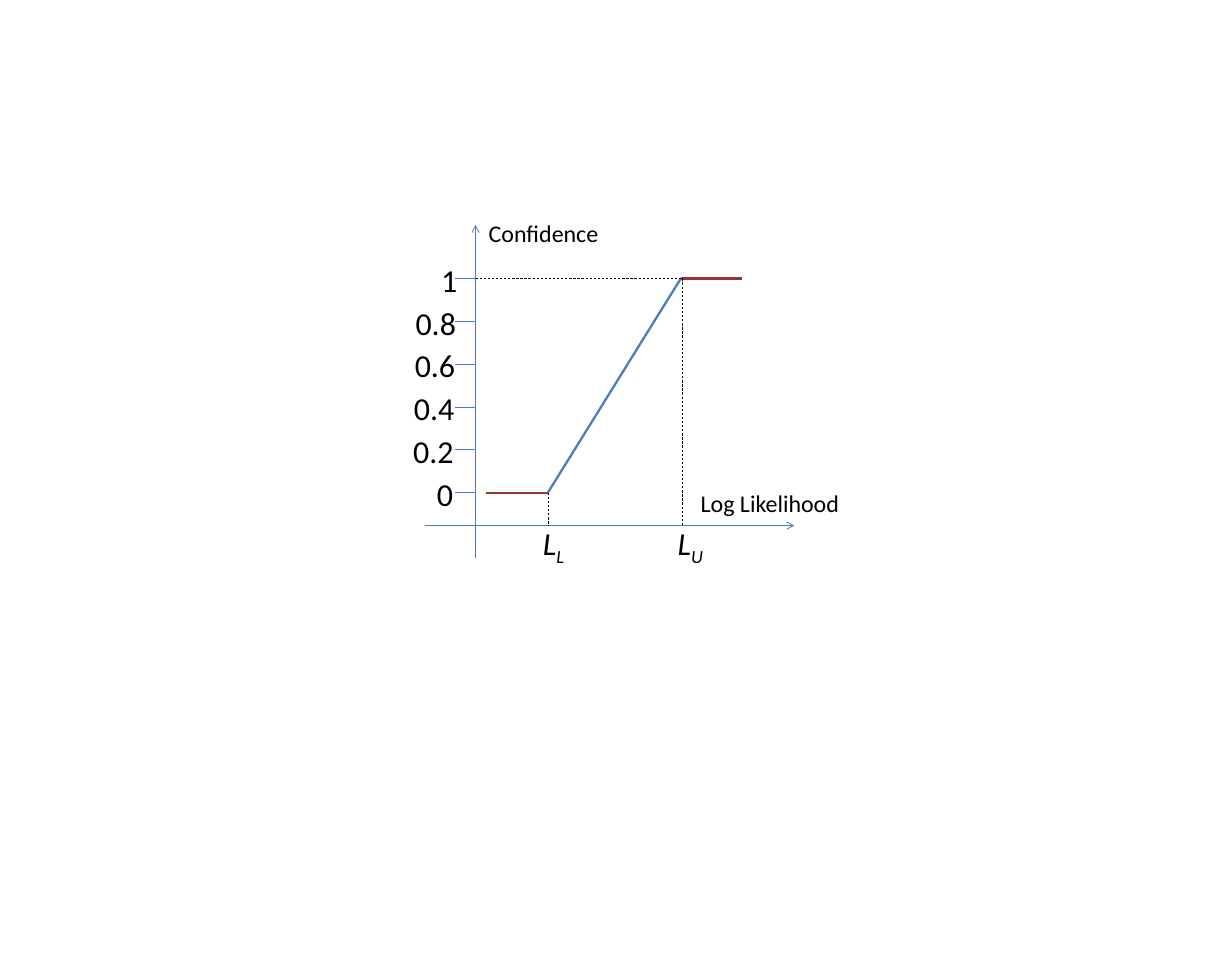
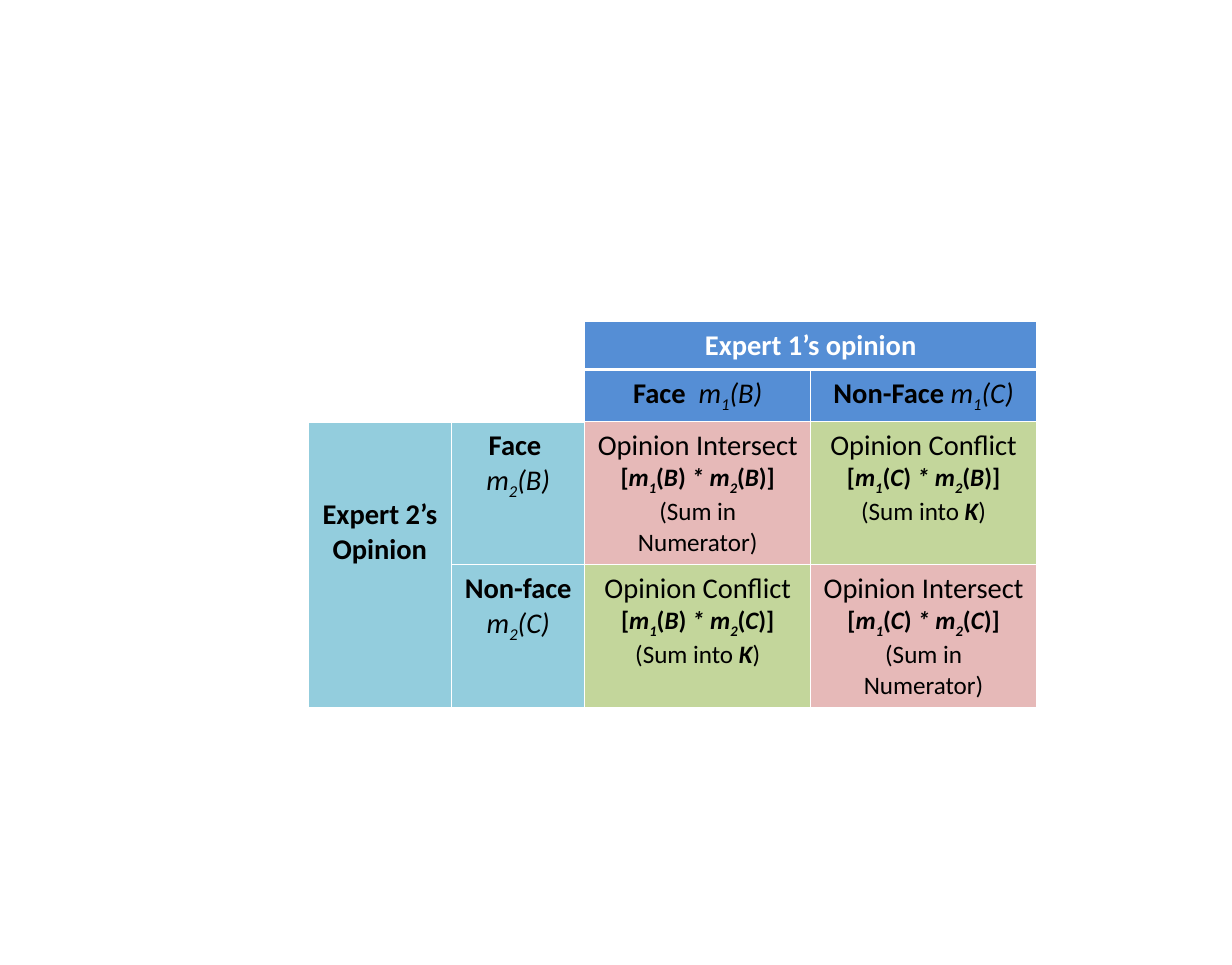
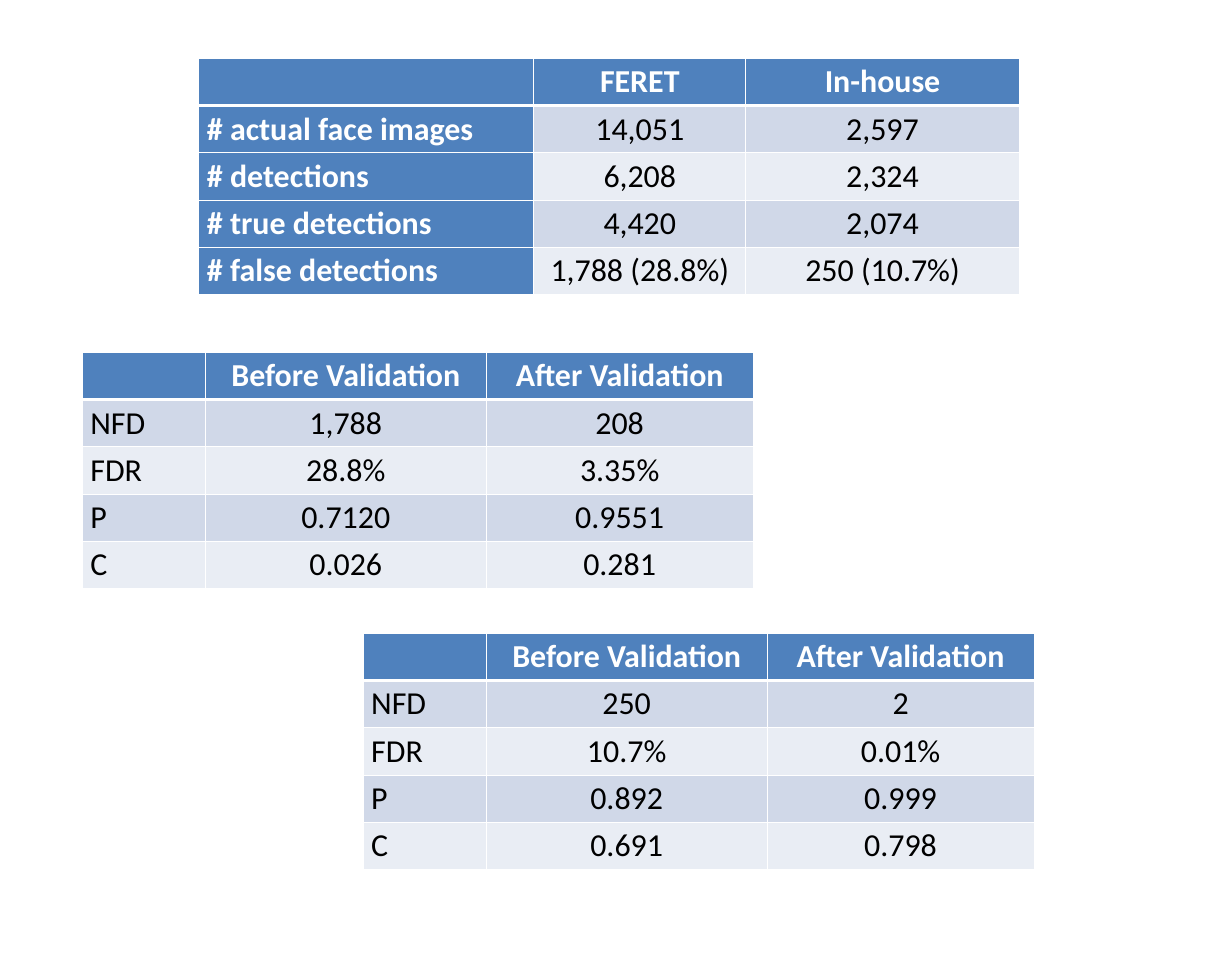
from dataclasses import dataclass

from lxml.etree import SubElement
from pptx import Presentation
from pptx.dml.color import RGBColor
from pptx.enum.dml import MSO_LINE_DASH_STYLE as Dash
from pptx.enum.shapes import MSO_CONNECTOR as Connector
from pptx.enum.text import MSO_AUTO_SIZE as AutoSize, PP_ALIGN as Align
from pptx.oxml import parse_xml
from pptx.oxml.ns import nsdecls, qn
from pptx.util import Inches, Pt


@dataclass(frozen=True)
class Theme:
    """Colours, font and type sizes shared by the slides."""
    font: str = "Calibri"
    black: str = "000000"
    white: str = "FFFFFF"
    axis: str = "4B7EBC"
    plateau: str = "953735"
    header: str = "4F81BD"
    band_dark: str = "D0D8E8"
    band_light: str = "E9EDF4"
    expert_one: str = "558ED5"
    expert_two: str = "93CDDD"
    intersect: str = "E6B9B8"
    conflict: str = "C3D69B"
    large: int = 28
    medium: int = 25
    formula: int = 22
    small: int = 21
    thin: float = 1
    heavy: float = 3


THEME = Theme()

# ---- Content. A run is (text, style): b bold, i italic, s subscript. ----

TICKS = ["0", "0.2", "0.4", "0.6", "0.8", "1"]
AXIS_X, AXIS_Y = 5.79, 6.4
ZERO_Y, ONE_Y = 6, 3.39
LOWER_X, UPPER_X = 6.67, 8.29

AXES = [((5.17, AXIS_Y), (9.67, AXIS_Y)), ((AXIS_X, 6.79), (AXIS_X, 2.74))]
CURVE = [
    ((5.92, ZERO_Y), (LOWER_X, ZERO_Y), THEME.plateau),
    ((UPPER_X, ONE_Y), (9.04, ONE_Y), THEME.plateau),
    ((LOWER_X, ZERO_Y), (UPPER_X, ONE_Y), THEME.axis),
]
GUIDES = [
    ((AXIS_X, ONE_Y), (UPPER_X, ONE_Y)),
    ((8.31, ONE_Y), (8.31, AXIS_Y)),
    ((LOWER_X, ZERO_Y), (LOWER_X, AXIS_Y)),
]
PLOT_LABELS = [
    ((8.1, 6.3, 0.62, 0.63), [("L", "i"), ("U", "is")], THEME.large),
    ((6.46, 6.3, 0.58, 0.63), [("L", "i"), ("L", "is")], THEME.large),
    ((8.38, 5.87, 2.01, 0.53), [("Log Likelihood", "")], THEME.small),
    ((5.8, 2.58, 1.66, 0.53), [("Confidence", "")], THEME.small),
]

OPINION_PLACE = (3.75, 3.92)
OPINION_COLUMNS = [1.75, 1.62, 2.75, 2.75]
OPINION_ROWS = [0.57, 0.57, 1.68, 1.68]
OPINION_MERGES = [((0, 0), (1, 1)), ((0, 2), (0, 3)), ((2, 0), (3, 0))]
CLASSES = ["B", "C"]
EXPERT_ONE_NAMES = ["Face  ", "Non-Face "]
EXPERT_TWO_NAMES = ["Face ", "Non-face "]

VALIDATION_HEADER = ["", "Before Validation", "After Validation"]
VALIDATION_COLUMNS = [1.5, 3.42, 3.25]
RESULT_ROW = 2.83 / 5
RESULT_TABLES = [
    {"place": (2.42, 0.71), "columns": [4.08, 2.58, 3.33], "dark_names": True,
     "rows": [["", "FERET", "In-house"],
              ["# actual face images", "14,051", "2,597"],
              ["# detections", "6,208", "2,324"],
              ["# true detections", "4,420", "2,074"],
              ["# false detections", "1,788 (28.8%)", "250 (10.7%)"]]},
    {"place": (1, 4.29), "columns": VALIDATION_COLUMNS, "dark_names": False,
     "rows": [VALIDATION_HEADER,
              ["NFD", "1,788", "208"],
              ["FDR", "28.8%", "3.35%"],
              ["P", "0.7120", "0.9551"],
              ["C", "0.026", "0.281"]]},
    {"place": (4.42, 7.71), "columns": VALIDATION_COLUMNS, "dark_names": False,
     "rows": [VALIDATION_HEADER,
              ["NFD", "250", "2"],
              ["FDR", "10.7%", "0.01%"],
              ["P", "0.892", "0.999"],
              ["C", "0.691", "0.798"]]},
]


# ---- Text and lines ----

def write_runs(paragraph, runs, size, color=THEME.black):
    """Add styled runs to a paragraph."""
    for text, style in runs:
        run = paragraph.add_run()
        run.text = text
        font = run.font
        font.name, font.size = THEME.font, Pt(size)
        font.color.rgb = RGBColor.from_string(color)
        font.bold, font.italic = "b" in style, "i" in style
        if "s" in style:
            run._r.get_or_add_rPr().set("baseline", "-25000")


def set_margins(frame, side=0.15, top=0.08, bottom=0.08):
    """Set the inner margins of a text frame or a cell."""
    frame.margin_left = frame.margin_right = Inches(side)
    frame.margin_top, frame.margin_bottom = Inches(top), Inches(bottom)


def add_label(slide, box, runs, size):
    """Add a text box that keeps its text on one line."""
    frame = slide.shapes.add_textbox(*map(Inches, box)).text_frame
    frame.word_wrap = False
    frame.auto_size = AutoSize.SHAPE_TO_FIT_TEXT
    set_margins(frame)
    write_runs(frame.paragraphs[0], runs, size)


def add_line(slide, start, end, color=THEME.axis, width=0.75, dash=None, arrow=False):
    """Add a straight line, optionally dashed or with an arrowhead at its end."""
    line = slide.shapes.add_connector(Connector.STRAIGHT, *map(Inches, (*start, *end)))
    line.line.color.rgb = RGBColor.from_string(color)
    line.line.width = Pt(width)
    if dash:
        line.line.dash_style = dash
    if arrow:
        SubElement(line.line._get_or_add_ln(), qn("a:tailEnd"), type="arrow")
    SubElement(line._element.spPr, qn("a:effectLst"))


# ---- Tables ----

def add_grid(slide, place, columns, rows):
    """Add an unbanded table with the given column widths and row heights."""
    frame = slide.shapes.add_table(len(rows), len(columns), *map(
        Inches, (*place, sum(columns), sum(rows))))
    table = frame.table
    table.first_row = table.horz_banding = False
    for column, width in zip(table.columns, columns):
        column.width = Inches(width)
    for row, height in zip(table.rows, rows):
        row.height = Inches(height)
    return table


def paint_cell(cell, color, row):
    """Fill a cell and rule it in white, heavier under the header row."""
    cell.fill.solid()
    cell.fill.fore_color.rgb = RGBColor.from_string(color)
    heavy_side = {0: "B", 1: "T"}.get(row)
    properties = cell._tc.get_or_add_tcPr()
    for index, side in enumerate("LRTB"):
        width = Pt(THEME.heavy if side == heavy_side else THEME.thin)
        properties.insert(index, parse_xml(
            f'<a:ln{side} {nsdecls("a")} w="{width}"><a:solidFill>'
            f'<a:srgbClr val="{THEME.white}"/></a:solidFill></a:ln{side}>'))


def write_cell(cell, paragraphs, color=THEME.black, align=Align.CENTER):
    """Write (runs, size) pairs into a cell, one paragraph each."""
    frame = cell.text_frame
    for index, (runs, size) in enumerate(paragraphs):
        paragraph = frame.add_paragraph() if index else frame.paragraphs[0]
        paragraph.alignment = align
        write_runs(paragraph, runs, size, color)


def mass(expert, class_name):
    """Return the runs of one expert's belief mass, such as m1(B)."""
    return [("m", "i"), (expert, "is"), (f"({class_name})", "i")]


def opinion_text(first, second):
    """Return the paragraphs for a pair of opinions."""
    agree = first == second
    product = [("[", "b"), ("m", "bi"), ("1", "bis"), ("(", "b"), (first, "bi"),
               (")", "b"), (" * m", "bi"), ("2", "bis"), ("(", "b"),
               (second, "bi"), (")]", "b")]
    use = ([("(Sum in Numerator)", "")] if agree
           else [("(Sum into ", ""), ("K", "bi"), (")", "")])
    title = "Opinion Intersect" if agree else "Opinion Conflict"
    return [([(title, "")], THEME.medium), (product, THEME.formula),
            (use, THEME.formula)]


# ---- Slides ----

def build_confidence_plot(slide):
    """Draw confidence as a function of log likelihood."""
    for start, end in AXES:
        add_line(slide, start, end, arrow=True)
    step = (ZERO_Y - ONE_Y) / (len(TICKS) - 1)
    for index, text in enumerate(TICKS):
        y = ZERO_Y - index * step
        add_line(slide, (5.54, y), (AXIS_X, y))
        width = 0.51 if len(text) == 1 else 0.81
        left = 5.68 + 0.01 * index - width
        add_label(slide, (left, y - 0.3, width, 0.63), [(text, "")], THEME.large)
    for start, end, color in CURVE:
        add_line(slide, start, end, color, width=2)
    for start, end in GUIDES:
        add_line(slide, start, end, THEME.black, width=0.5, dash=Dash.DASH)
    for box, runs, size in PLOT_LABELS:
        add_label(slide, box, runs, size)


def opinion_fill(row, column):
    """Return the fill of a cell in the opinion table."""
    if row < 2:
        return THEME.white if column < 2 else THEME.expert_one
    if column < 2:
        return THEME.expert_two
    return THEME.intersect if row == column else THEME.conflict


def build_opinion_table(slide):
    """Build the table that combines the opinions of two experts."""
    table = add_grid(slide, OPINION_PLACE, OPINION_COLUMNS, OPINION_ROWS)
    for row in range(len(OPINION_ROWS)):
        for column in range(len(OPINION_COLUMNS)):
            cell = table.cell(row, column)
            paint_cell(cell, opinion_fill(row, column), row)
            set_margins(cell)
    for first, last in OPINION_MERGES:
        table.cell(*first).merge(table.cell(*last))

    size = THEME.medium
    write_cell(table.cell(0, 2), [([("Expert 1’s opinion", "b")], size)], THEME.white)
    set_margins(table.cell(2, 0), top=0.92)
    write_cell(table.cell(2, 0), [([("Expert 2’s Opinion", "b")], size)])
    for index, name in enumerate(CLASSES):
        place = index + 2
        heading = [(EXPERT_ONE_NAMES[index], "b"), *mass("1", name)]
        write_cell(table.cell(1, place), [(heading, size)])
        write_cell(table.cell(place, 1), [([(EXPERT_TWO_NAMES[index], "b")], size),
                                          (mass("2", name), size)])
        for other, first in enumerate(CLASSES):
            write_cell(table.cell(place, other + 2), opinion_text(first, name))


def build_result_tables(slide):
    """Build the detection and validation tables."""
    for content in RESULT_TABLES:
        rows = content["rows"]
        table = add_grid(slide, content["place"], content["columns"],
                         [RESULT_ROW] * len(rows))
        for row, texts in enumerate(rows):
            band = THEME.band_dark if row % 2 else THEME.band_light
            for column, text in enumerate(texts):
                cell = table.cell(row, column)
                header = row == 0 or (column == 0 and content["dark_names"])
                paint_cell(cell, THEME.header if header else band, row)
                if text:
                    write_cell(cell, [([(text, "b" if header else "")], THEME.large)],
                               THEME.white if header else THEME.black,
                               Align.CENTER if column else Align.LEFT)


def main():
    """Build and save the presentation."""
    presentation = Presentation()
    presentation.slide_width, presentation.slide_height = Inches(15), Inches(11.75)
    blank = presentation.slide_layouts[6]
    for build in (build_confidence_plot, build_opinion_table, build_result_tables):
        build(presentation.slides.add_slide(blank))
    presentation.save("out.pptx")


main()
